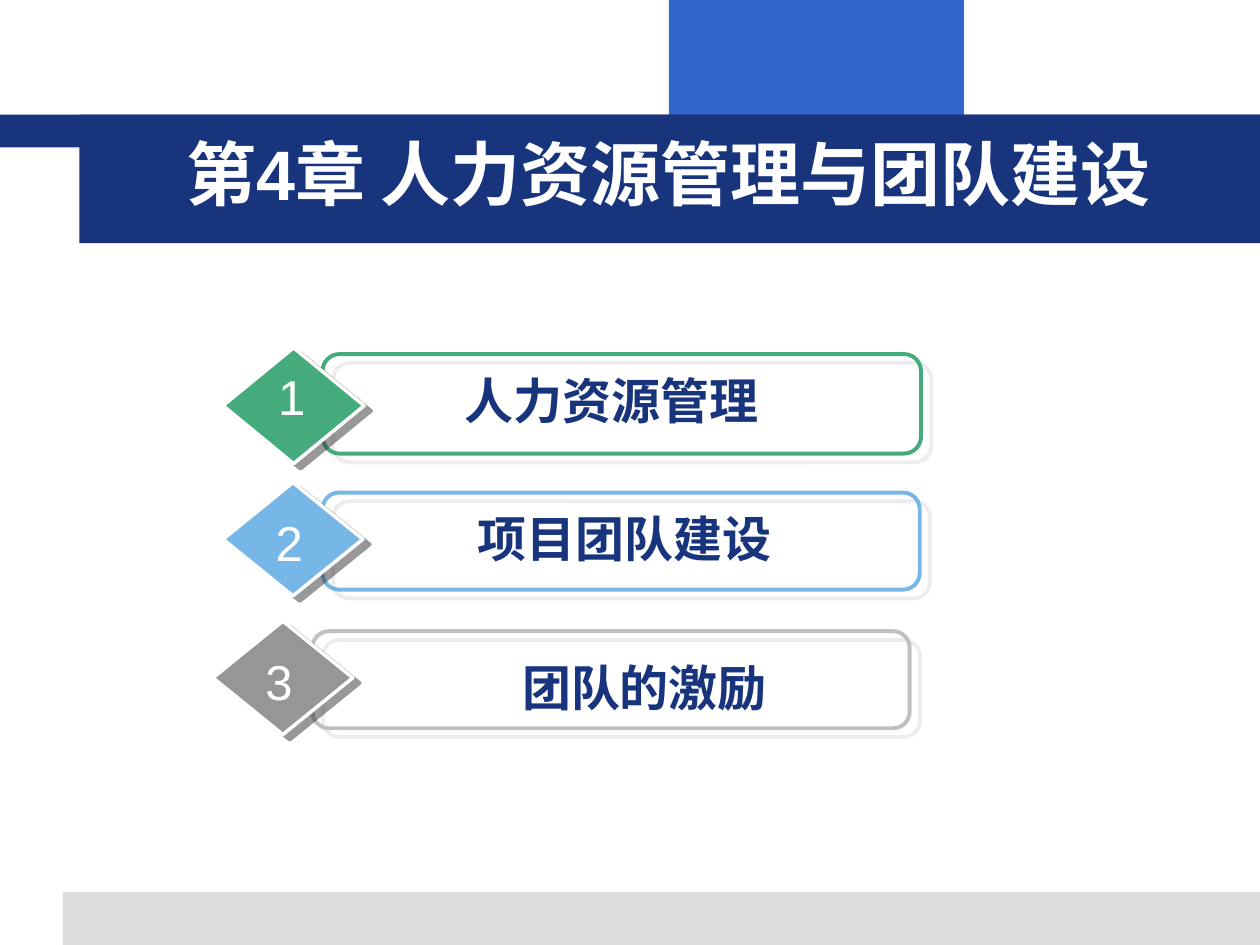
from dataclasses import dataclass

from lxml.etree import SubElement as Sub
from pptx import Presentation
from pptx.dml.color import RGBColor as Rgb
from pptx.enum.shapes import MSO_SHAPE as Shape
from pptx.enum.text import PP_ALIGN as Align
from pptx.oxml.ns import qn
from pptx.util import Inches, Pt

HUES = {
    "navy": "17347D", "blue": "3366CC", "pale": "DDDDDD", "white": "FFFFFF",
    "green": "45AB7D", "sky": "77B7E7", "silver": "C0C0C0", "gray": "969696",
    "dark": "333333",
}


@dataclass
class Box:
    left: float
    top: float
    width: float
    height: float

    def emu(self) -> list:
        return [Inches(v) for v in (self.left, self.top, self.width, self.height)]


@dataclass
class Shade:
    hue: str
    gap: float  # points
    angle: int  # degrees


@dataclass
class Item:
    mark: str
    label: str
    edge: str
    fill: str
    frame: Box
    gem: Box
    mark_at: Box
    label_at: Box


def hue(name: str) -> Rgb:
    return Rgb.from_string(HUES[name])


def add_shape(slide, kind, box: Box, fill: str = "", edge: str = "",
              weight: float = 0, shade: Shade | None = None):
    shape = slide.shapes.add_shape(kind, *box.emu())
    shape.shadow.inherit = False
    if fill:
        shape.fill.solid()
        shape.fill.fore_color.rgb = hue(fill)
    else:
        shape.fill.background()
    if edge:
        shape.line.color.rgb = hue(edge)
        shape.line.width = Pt(weight)
    else:
        shape.line.fill.background()
    if shade:
        effects = shape._element.spPr.find(qn("a:effectLst"))
        outer = Sub(effects, qn("a:outerShdw"), blurRad="0",
                    dist=str(int(Pt(shade.gap))), dir=str(shade.angle * 60000),
                    algn="ctr", rotWithShape="0")
        color = Sub(outer, qn("a:srgbClr"), val=HUES[shade.hue])
        Sub(color, qn("a:alpha"), val="50000")
    return shape


def add_text(slide, text: str, box: Box, size: int, color: str,
             bold: bool = False, align=Align.CENTER) -> None:
    frame = slide.shapes.add_textbox(*box.emu()).text_frame
    frame.word_wrap = True
    para = frame.paragraphs[0]
    para.text = text
    para.alignment = align
    font = para.font
    font.name, font.size, font.bold = "Arial", Pt(size), bold
    font.color.rgb = hue(color)


def add_item(slide, item: Item) -> None:
    frame = add_shape(slide, Shape.ROUNDED_RECTANGLE, item.frame, edge=item.edge,
                      weight=2.25, shade=Shade("pale", 7.8, 40))
    frame.adjustments[0] = 0.17
    add_shape(slide, Shape.DIAMOND, item.gem, item.fill, "white", 2,
              Shade("dark", 5, 37))
    add_text(slide, item.mark, item.mark_at, 28, "white")
    add_text(slide, item.label, item.label_at, 28, "navy", bold=True)


BARS = [
    ("blue", Box(5.31, 0, 2.34, 0.92)),
    ("pale", Box(0.5, 7.08, 9.5, 0.42)),
    ("navy", Box(0, 0.91, 10, 0.26)),
    ("navy", Box(0.63, 0.91, 9.37, 1.02)),
]

ITEMS = [
    Item("1", "人力资源管理", "green", "green",
         Box(2.56, 2.81, 4.75, 0.79), Box(1.77, 2.76, 1.12, 0.92),
         Box(1.93, 2.86, 0.77, 0.57), Box(2.98, 2.89, 3.75, 0.57)),
    Item("2", "项目团队建设", "sky", "sky",
         Box(2.56, 3.91, 4.74, 0.77), Box(1.77, 3.83, 1.11, 0.9),
         Box(1.91, 4.02, 0.77, 0.57), Box(2.75, 3.99, 4.41, 0.57)),
    Item("3", "团队的激励", "silver", "gray",
         Box(2.48, 5.01, 4.74, 0.77), Box(1.69, 4.93, 1.11, 0.9),
         Box(1.83, 5.12, 0.77, 0.57), Box(3.03, 5.17, 4.17, 0.57)),
]


def main() -> None:
    deck = Presentation()
    deck.slide_width, deck.slide_height = Inches(10), Inches(7.5)
    slide = deck.slides.add_slide(deck.slide_layouts[6])

    # Background bars
    for fill, box in BARS:
        add_shape(slide, Shape.RECTANGLE, box, fill)

    # Chapter title
    add_text(slide, "第4章 人力资源管理与团队建设", Box(1.38, 0.99, 8.23, 0.77),
             40, "white", bold=True, align=Align.LEFT)

    # Numbered sections
    for item in ITEMS:
        add_item(slide, item)

    deck.save("out.pptx")


if __name__ == "__main__":
    main()
